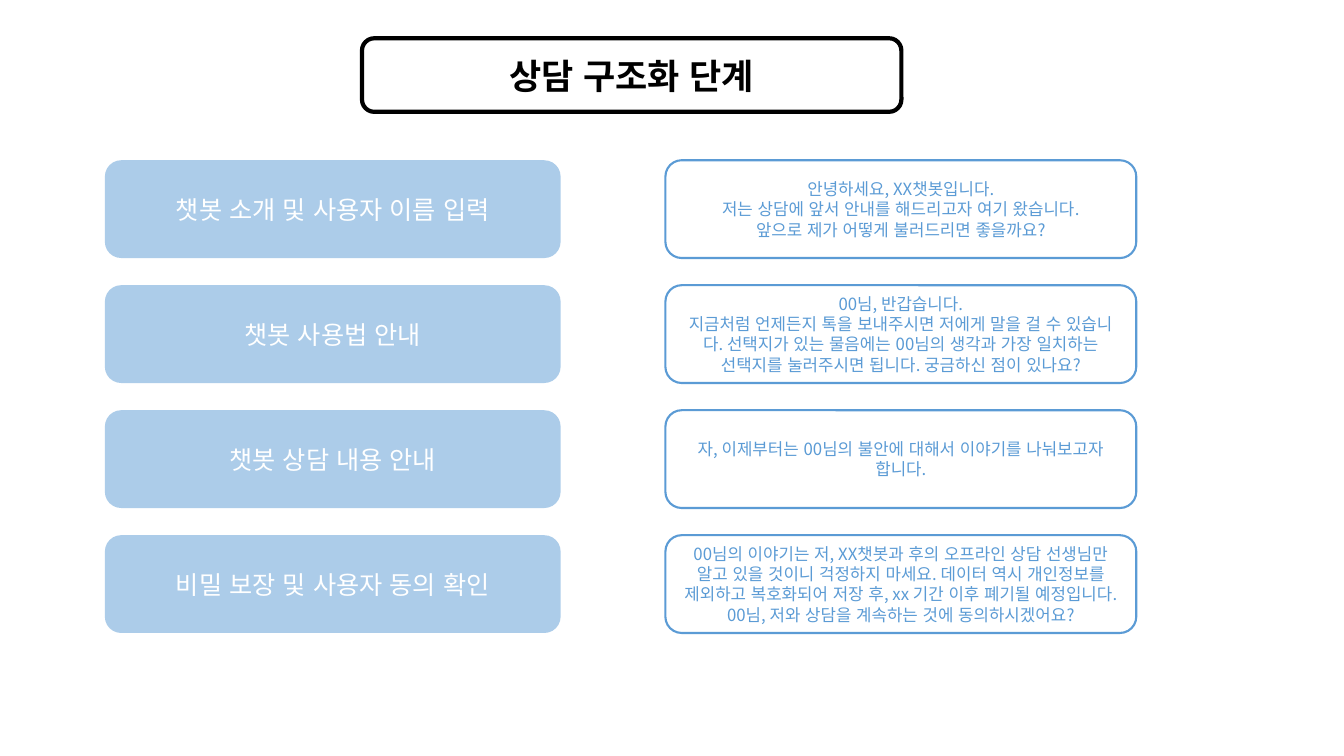
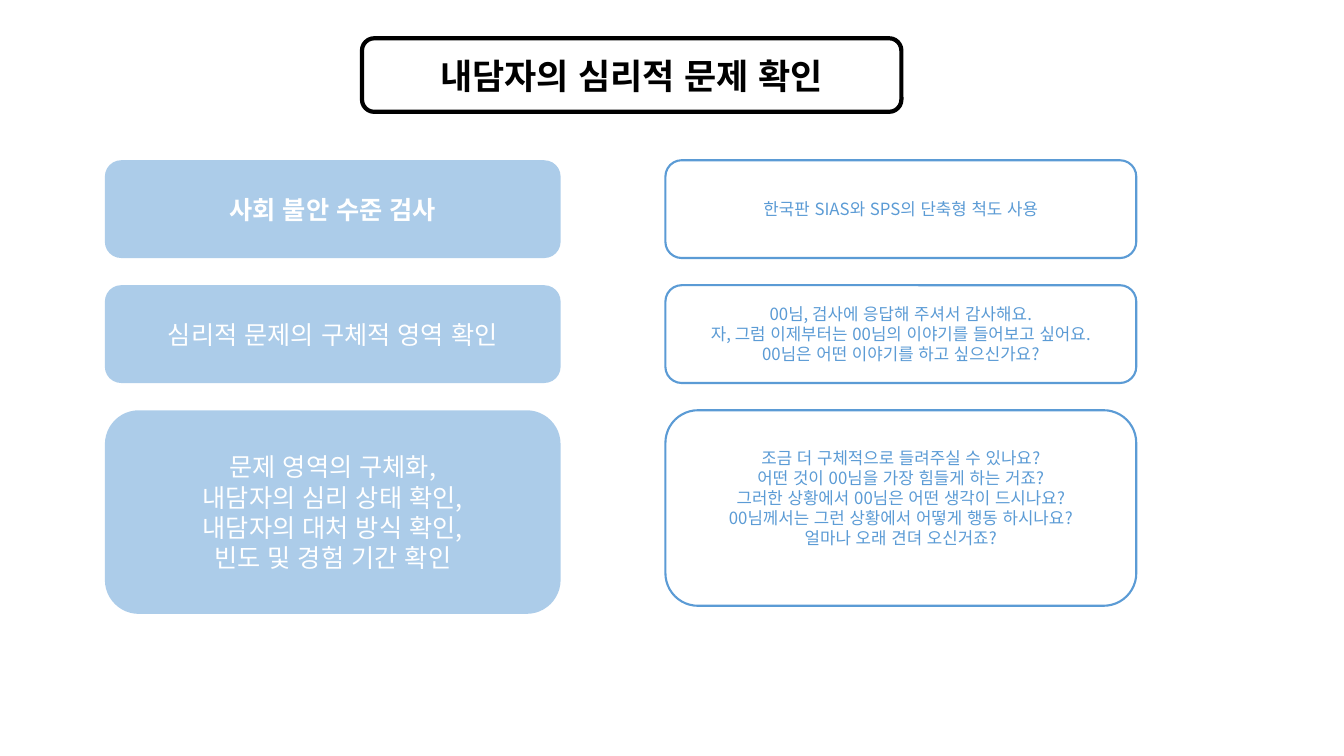
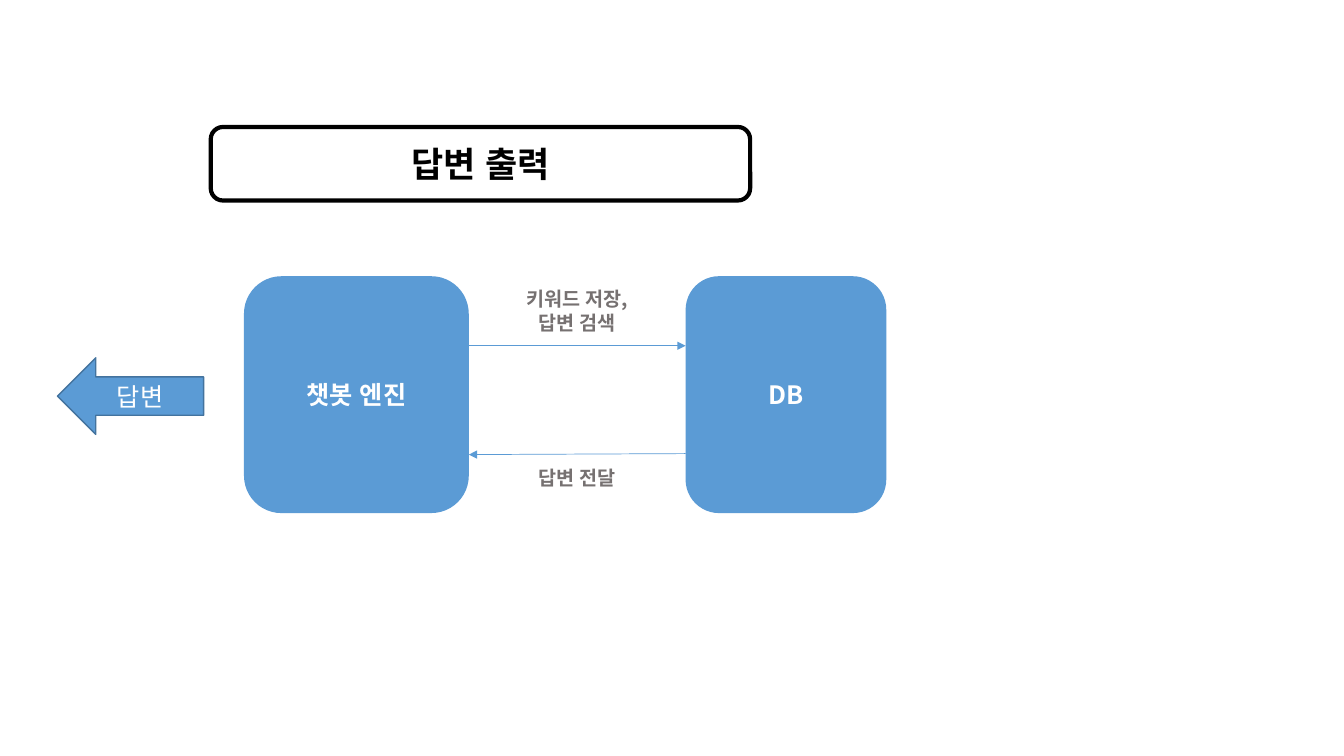
"""Build three slides on the stages of a counselling chatbot."""
from lxml import etree
from pptx import Presentation
from pptx.dml.color import RGBColor
from pptx.enum.lang import MSO_LANGUAGE_ID
from pptx.enum.shapes import MSO_CONNECTOR, MSO_SHAPE
from pptx.enum.text import MSO_ANCHOR, MSO_AUTO_SIZE, PP_ALIGN
from pptx.oxml.ns import qn
from pptx.util import Inches, Pt

ROUNDED = MSO_SHAPE.ROUNDED_RECTANGLE
LEFT_ARROW = MSO_SHAPE.LEFT_ARROW
STRAIGHT = MSO_CONNECTOR.STRAIGHT
CENTER = PP_ALIGN.CENTER
MIDDLE = MSO_ANCHOR.MIDDLE
TOP = MSO_ANCHOR.TOP
NO_AUTOFIT = MSO_AUTO_SIZE.NONE
KOREAN = MSO_LANGUAGE_ID.KOREAN

FONT = "Noto Sans CJK KR"
BLUE, DARK_BLUE, GRAY = "5B9BD5", "43739E", "767171"
BLACK, WHITE = "000000", "FFFFFF"

TITLE_SIZE = (5.35, 0.73)
STEP_LEFT, STEP_WIDTH = 1.04, 4.52
SPEECH_LEFT, SPEECH_WIDTH = 6.6, 4.67
ROW_TOP, ROW_PITCH, ROW_HEIGHT = 1.59, 1.24, 0.97

STEP_PAGES = [
    ("상담 구조화 단계", [
        {"step": ["챗봇 소개 및 사용자 이름 입력"],
         "speech": ["안녕하세요, XX챗봇입니다.",
                    "저는 상담에 앞서 안내를 해드리고자 여기 왔습니다.",
                    "앞으로 제가 어떻게 불러드리면 좋을까요?"]},
        {"step": ["챗봇 사용법 안내"],
         "speech": ["00님, 반갑습니다.",
                    "지금처럼 언제든지 톡을 보내주시면 저에게 말을 걸 수 있습니다. "
                    "선택지가 있는 물음에는 00님의 생각과 가장 일치하는 선택지를 "
                    "눌러주시면 됩니다. 궁금하신 점이 있나요?"]},
        {"step": ["챗봇 상담 내용 안내"],
         "speech": ["자, 이제부터는 00님의 불안에 대해서 이야기를 나눠보고자 합니다."]},
        {"step": ["비밀 보장 및 사용자 동의 확인"],
         "speech": ["00님의 이야기는 저, XX챗봇과 후의 오프라인 상담 선생님만 알고 "
                    "있을 것이니 걱정하지 마세요. 데이터 역시 개인정보를 제외하고 "
                    "복호화되어 저장 후, xx 기간 이후 폐기될 예정입니다. "
                    "00님, 저와 상담을 계속하는 것에 동의하시겠어요?"]},
    ]),
    ("내담자의 심리적 문제 확인", [
        {"step": ["사회 불안 수준 검사"], "bold": True,
         "speech": ["한국판 SIAS와 SPS의 단축형 척도 사용"]},
        {"step": ["심리적 문제의 구체적 영역 확인"],
         "speech": ["00님, 검사에 응답해 주셔서 감사해요.",
                    "자, 그럼 이제부터는 00님의 이야기를 들어보고 싶어요.",
                    "00님은 어떤 이야기를 하고 싶으신가요?"]},
        {"step": ["문제 영역의 구체화,", "내담자의 심리 상태 확인,",
                  "내담자의 대처 방식 확인,", "빈도 및 경험 기간 확인"],
         "speech": ["조금 더 구체적으로 들려주실 수 있나요?",
                    "어떤 것이 00님을 가장 힘들게 하는 거죠?",
                    "그러한 상황에서 00님은 어떤 생각이 드시나요?",
                    "00님께서는 그런 상황에서 어떻게 행동 하시나요?",
                    "얼마나 오래 견뎌 오신거죠?"],
         "step_height": 2.02, "speech_height": 1.94, "speech_bottom": 0.25},
    ]),
]

ANSWER_TITLE = "답변 출력"
ANSWER_NODES = [
    (["챗봇 엔진"], (2.42, 2.74, 2.23, 2.35)),
    (["DB"], (6.8, 2.74, 1.99, 2.35)),
]
ANSWER_ARROW = (["답변"], (0.57, 3.55, 1.45, 0.76))
ANSWER_FLOWS = [
    (["키워드 저장,", "답변 검색"], (4.89, 2.8, 1.67, 0.57), (4.65, 3.43), (6.8, 3.43)),
    (["답변 전달"], (4.89, 4.57, 1.67, 0.34), (6.8, 4.5), (4.65, 4.51)),
]


def rgb(value):
    """Turn a hex string into a colour."""
    return RGBColor.from_string(value)


def write(shape, lines, *, size, color, bold=False, anchor=MIDDLE, bottom=0.05):
    """Write centred lines of text into a shape."""
    frame = shape.text_frame
    frame.word_wrap = True
    frame.auto_size = NO_AUTOFIT
    frame.vertical_anchor = anchor
    frame.margin_bottom = Inches(bottom)
    for index, line in enumerate(lines):
        para = frame.add_paragraph() if index else frame.paragraphs[0]
        para.alignment = CENTER
        span = para.add_run()
        span.text = line
        span.font.size = Pt(size)
        span.font.bold = bold
        span.font.color.rgb = rgb(color)
        span.font.name = FONT
        span.font.language_id = KOREAN
        etree.SubElement(span.font._element, qn("a:ea"), typeface=FONT)


def add_box(page, place, *, kind=ROUNDED, fill=None, alpha=None, line=None, width=1):
    """Add a preset shape with an optional fill and outline."""
    box = page.shapes.add_shape(kind, *map(Inches, place))
    box.shadow.inherit = False
    if fill:
        box.fill.solid()
        box.fill.fore_color.rgb = rgb(fill)
    else:
        box.fill.background()
    if alpha:
        tint = box._element.spPr.find(qn("a:solidFill")).find(qn("a:srgbClr"))
        etree.SubElement(tint, qn("a:alpha"), val=str(alpha * 1000))
    if line:
        box.line.color.rgb = rgb(line)
        box.line.width = Pt(width)
    else:
        box.line.fill.background()
    return box


def add_page(deck, title, left=3.59, top=0.38):
    """Add a slide with its title in a rounded frame."""
    page = deck.slides.add_slide(deck.slide_layouts[5])
    place = (left, top, *TITLE_SIZE)
    frame = add_box(page, place, line=BLACK, width=3)
    heading = page.shapes.title
    heading.left, heading.top, heading.width, heading.height = map(Inches, place)
    write(heading, [title], size=25, color=BLACK, bold=True)
    frame._element.addnext(heading._element)
    return page


def add_arrow(page, start, end):
    """Draw a thin line with an arrowhead at its end."""
    arrow = page.shapes.add_connector(STRAIGHT, *map(Inches, start + end))
    arrow.line.color.rgb = rgb(BLUE)
    arrow.line.width = Pt(0.5)
    etree.SubElement(arrow.line._get_or_add_ln(), qn("a:tailEnd"), type="triangle")
    etree.SubElement(arrow._element.spPr, qn("a:effectLst"))


def add_step_page(deck, title, rows):
    """Add a slide pairing each step with what the chatbot says."""
    page = add_page(deck, title)
    for index, row in enumerate(rows):
        top = ROW_TOP + index * ROW_PITCH
        step_height = row.get("step_height", ROW_HEIGHT)
        step = add_box(page, (STEP_LEFT, top, STEP_WIDTH, step_height), fill=BLUE, alpha=50)
        write(step, row["step"], size=18, color=WHITE, bold=row.get("bold", False))
        speech_height = row.get("speech_height", ROW_HEIGHT)
        speech = add_box(page, (SPEECH_LEFT, top, SPEECH_WIDTH, speech_height),
                         line=BLUE, width=1.5)
        write(speech, row["speech"], size=12, color=BLUE,
              bottom=row.get("speech_bottom", 0.05))


def add_answer_page(deck):
    """Add the slide on how an answer is produced."""
    page = add_page(deck, ANSWER_TITLE, left=2.09, top=1.26)
    for lines, place in ANSWER_NODES:
        write(add_box(page, place, fill=BLUE), lines, size=18, color=WHITE, bold=True)
    lines, place = ANSWER_ARROW
    arrow = add_box(page, place, kind=LEFT_ARROW, fill=BLUE, line=DARK_BLUE)
    write(arrow, lines, size=18, color=WHITE)
    for lines, place, start, end in ANSWER_FLOWS:
        add_arrow(page, start, end)
        label = page.shapes.add_textbox(*map(Inches, place))
        write(label, lines, size=14, color=GRAY, bold=True, anchor=TOP)


def main():
    """Build and save the deck."""
    deck = Presentation()
    deck.slide_width, deck.slide_height = Inches(13.33), Inches(7.5)
    for title, rows in STEP_PAGES:
        add_step_page(deck, title, rows)
    add_answer_page(deck)
    deck.save("out.pptx")


if __name__ == "__main__":
    main()
